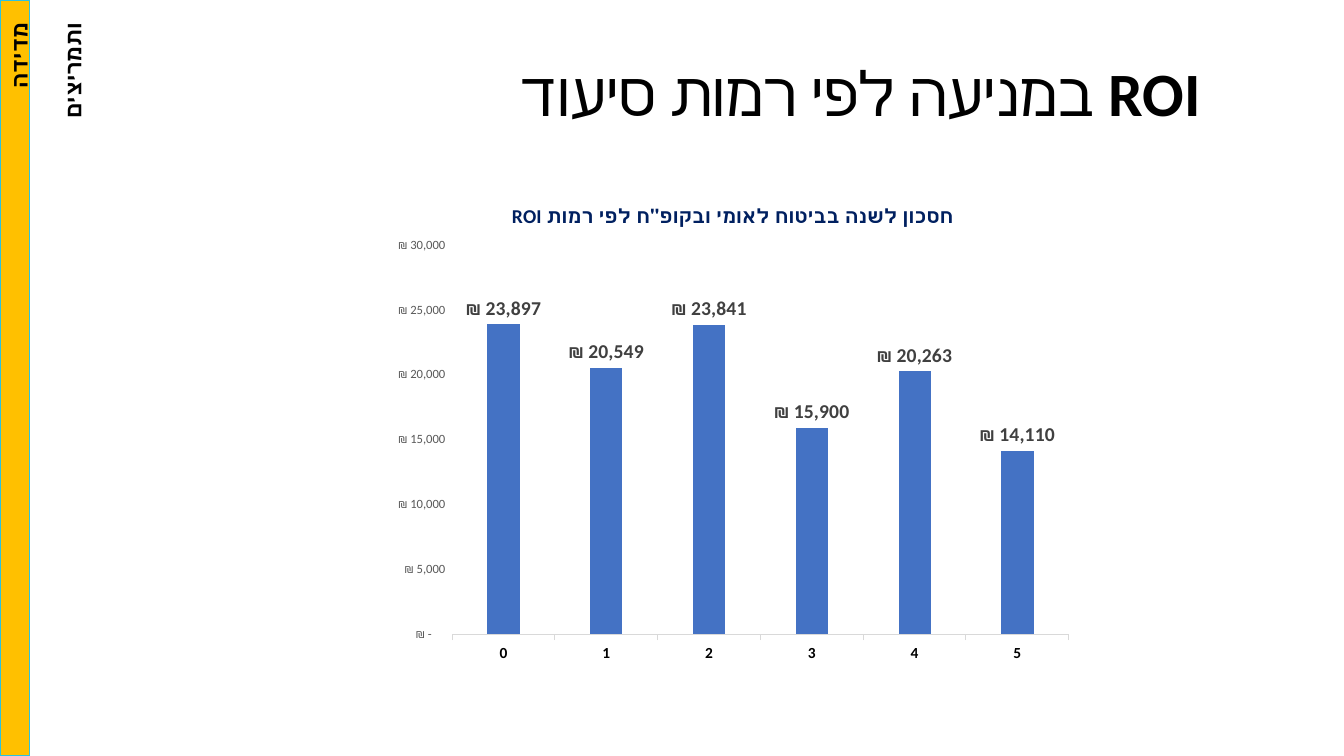
from lxml.etree import SubElement
from pptx import Presentation
from pptx.chart.data import CategoryChartData
from pptx.dml.color import RGBColor
from pptx.enum.chart import XL_CHART_TYPE, XL_LABEL_POSITION, XL_TICK_MARK
from pptx.enum.shapes import MSO_SHAPE
from pptx.enum.text import MSO_ANCHOR, PP_ALIGN
from pptx.oxml import parse_xml
from pptx.oxml.ns import nsdecls, qn
from pptx.util import Pt

PX = 9144  # 100 px to the inch
THEME = {
    "font": "Calibri",
    "text": "000000", "navy": "002060", "bar": "4472C4", "label": "404040",
    "scale": "595959", "axis": "D9D9D9", "strip": "FFC000", "strip_line": "2CC2E0",
    "title_pt": 44, "side_pt": 16, "chart_title_pt": 14, "label_pt": 14,
    "category_pt": 11, "scale_pt": 9, "chart_pt": 10,
}
SHEKEL = r'_ "₪"\ * #,##0_ ;_ "₪"\ * \-#,##0_ ;_ "₪"\ * "-"??_ ;_ @_ '
SAVINGS = {"0": 23897, "1": 20549, "2": 23841, "3": 15900, "4": 20263, "5": 14110}


def rgb(key):
    return RGBColor.from_string(THEME[key])


def style(font, size, color, bold=False):
    font.name = THEME["font"]
    font.size = Pt(THEME[size])
    font.bold = bold
    font.color.rgb = rgb(color)


def add_hebrew(slide, box, runs, size, spacing, anchor, rotation=0):
    """Add a right-to-left text box; runs are (text, bold) pairs."""
    sp = slide.shapes.add_textbox(*(v * PX for v in box))
    sp.rotation = rotation
    tf = sp.text_frame
    tf.word_wrap = True
    tf.vertical_anchor = anchor
    p = tf.paragraphs[0]
    p.alignment = PP_ALIGN.RIGHT
    p.line_spacing = spacing
    p._p.get_or_add_pPr().set("rtl", "1")
    for text, bold in runs:
        r = p.add_run()
        r.text = text
        style(r.font, size, "text", bold)
        SubElement(r._r.get_or_add_rPr(), qn("a:cs"), typeface=THEME["font"])


prs = Presentation()
prs.slide_width, prs.slide_height = 1333 * PX, 750 * PX
s = prs.slides.add_slide(prs.slide_layouts[6])

add_hebrew(s, (51, 23, 1150, 145), [("ROI ", True), ("במניעה לפי רמות סיעוד", False)],
           "title_pt", 0.9, MSO_ANCHOR.MIDDLE)

# Savings chart
data = CategoryChartData(number_format=SHEKEL)
data.categories = list(SAVINGS)
data.add_series("Series 1", list(SAVINGS.values()))
chart = s.shapes.add_chart(XL_CHART_TYPE.COLUMN_CLUSTERED, 379 * PX, 177 * PX,
                           695 * PX, 491 * PX, data).chart
style(chart.font, "chart_pt", "text")
chart.has_legend = False

chart.has_title = True
p = chart.chart_title.text_frame.paragraphs[0]
r = p.add_run()
r.text = 'ROI חסכון לשנה בביטוח לאומי ובקופ"ח לפי רמות'
style(r.font, "chart_title_pt", "navy", True)
chart.chart_title.include_in_layout = False

plot = chart.plots[0]
plot.gap_width, plot.overlap = 219, -27
plot.vary_by_categories = False
fill = plot.series[0].format.fill
fill.solid()
fill.fore_color.rgb = rgb("bar")
plot.has_data_labels = True
labels = plot.data_labels
labels.show_value = True
labels.position = XL_LABEL_POSITION.OUTSIDE_END
labels.number_format, labels.number_format_is_linked = SHEKEL, False
style(labels.font, "label_pt", "label", True)

cat = chart.category_axis
cat.major_tick_mark = XL_TICK_MARK.OUTSIDE
cat.format.line.color.rgb = rgb("axis")
cat.format.line.width = Pt(0.75)
style(cat.tick_labels.font, "category_pt", "text", True)

val = chart.value_axis
val.minimum_scale, val.maximum_scale, val.major_unit = 0, 30000, 5000
val.has_major_gridlines = False
val.major_tick_mark = XL_TICK_MARK.NONE
val.format.line.fill.background()
val.tick_labels.number_format = SHEKEL
val.tick_labels.number_format_is_linked = False
style(val.tick_labels.font, "scale_pt", "scale")

# Fixed places for the plot area and the chart title, as fractions of the chart
plot_place = {"layoutTarget": "inner", "xMode": "edge", "yMode": "edge",
              "x": 0.1, "y": 0.135, "w": 0.88, "h": 0.786}
title_place = {"xMode": "edge", "yMode": "edge", "x": 0.18, "y": 0.04}
plot_area = chart._chartSpace.chart.plotArea
title = chart.chart_title._element
for parent, place in ((plot_area, plot_place), (title, title_place)):
    for old in parent.findall(qn("c:layout")):
        parent.remove(old)
    items = "".join(f'<c:{k} val="{v}"/>' for k, v in place.items())
    layout = parse_xml(f'<c:layout {nsdecls("c")}><c:manualLayout>{items}'
                       '</c:manualLayout></c:layout>')
    parent.insert(0 if parent is plot_area else 1, layout)

# Side strip with its vertical heading
strip = s.shapes.add_shape(MSO_SHAPE.RECTANGLE, 0, 0, 29 * PX, 750 * PX)
strip.shadow.inherit = False
strip.fill.solid()
strip.fill.fore_color.rgb = rgb("strip")
strip.line.color.rgb = rgb("strip_line")
strip.line.width = Pt(1)
add_hebrew(s, (-76, 62, 155, 56), [("מדידה ותמריצים", True)],
           "side_pt", 2.0, MSO_ANCHOR.TOP, rotation=270)

prs.save("out.pptx")
